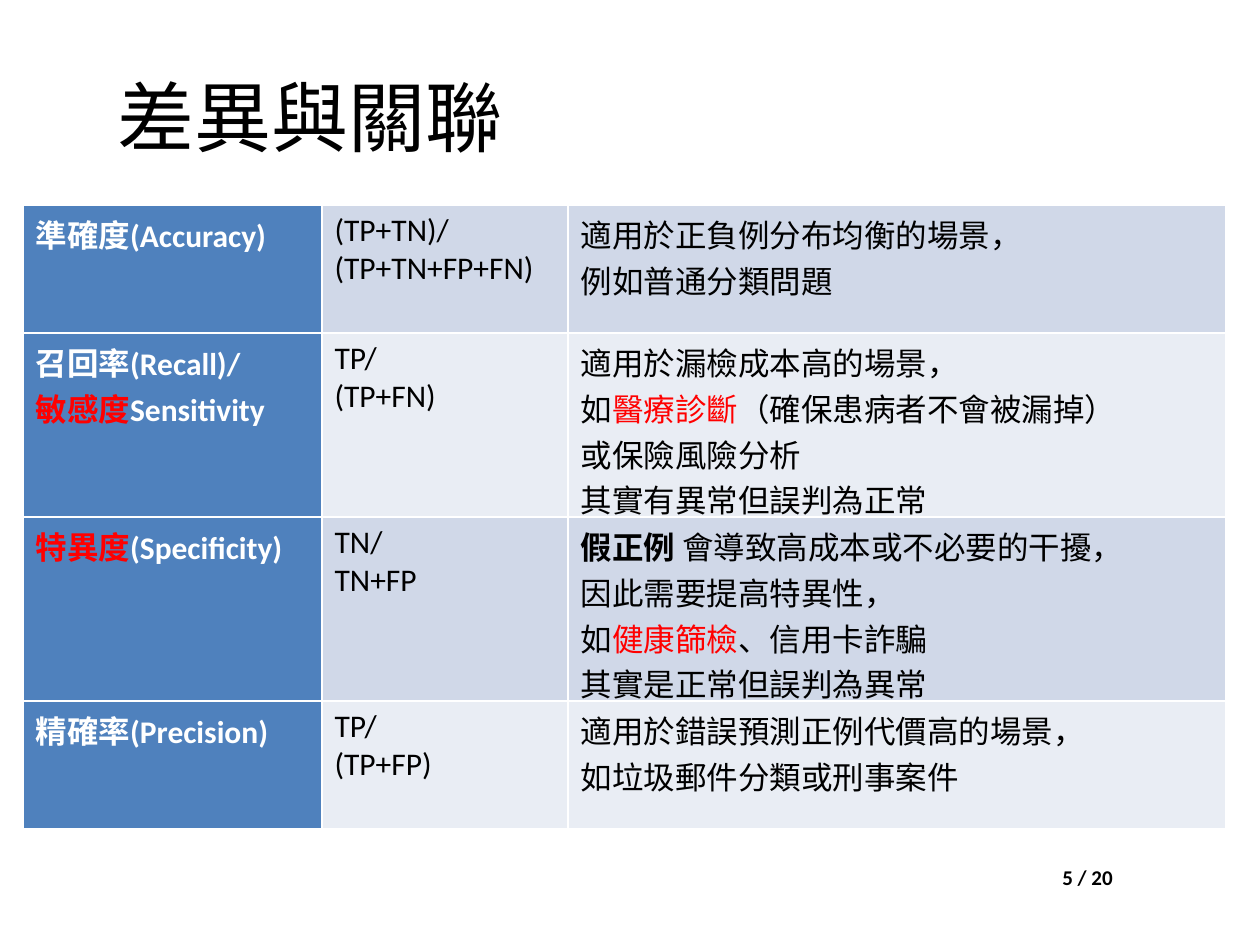
from dataclasses import dataclass

from lxml.etree import SubElement
from pptx import Presentation
from pptx.dml.color import RGBColor as Rgb
from pptx.enum.text import MSO_ANCHOR as Anchor, PP_ALIGN as Align
from pptx.oxml.ns import qn
from pptx.util import Emu, Pt


@dataclass(frozen=True)
class Theme:
    font: str = "Calibri"
    ink: str = "000000"
    light: str = "FFFFFF"
    accent: str = "FF0000"
    metric_fill: str = "4F81BD"
    band_fills: tuple = ("D0D8E8", "E9EDF4")
    title_size: int = 44
    body_size: int = 18
    page_size: int = 12
    border_width: int = 1


THEME = Theme()
EMU_PER_PX = 914400 / 126
COLUMN_WIDTHS = (299, 246, 658)
ROW_HEIGHTS = (128, 184, 184, 128)
RED, BOLD = "red", "bold"

METRICS = [
    (
        ["準確度(Accuracy)"],
        ["(TP+TN)/", "(TP+TN+FP+FN)"],
        ["適用於正負例分布均衡的場景，", "例如普通分類問題"],
    ),
    (
        ["召回率(Recall)/", [("敏感度", RED), "Sensitivity"]],
        ["TP/", "(TP+FN)"],
        [
            "適用於漏檢成本高的場景，",
            ["如", ("醫療診斷", RED), "（確保患病者不會被漏掉）"],
            "或保險風險分析",
            "其實有異常但誤判為正常",
        ],
    ),
    (
        [[("特異度", RED), "(Specificity)"]],
        ["TN/", "TN+FP"],
        [
            [("假正例", BOLD), " 會導致高成本或不必要的干擾，"],
            "因此需要提高特異性，",
            ["如", ("健康篩檢", RED), "、信用卡詐騙"],
            "其實是正常但誤判為異常",
        ],
    ),
    (
        ["精確率(Precision)"],
        ["TP/", "(TP+FP)"],
        ["適用於錯誤預測正例代價高的場景，", "如垃圾郵件分類或刑事案件"],
    ),
]


def px(length):
    return Emu(round(length * EMU_PER_PX))


def style_run(run, size, color, bold=False):
    run.font.name = THEME.font
    run.font.size = Pt(size)
    run.font.bold = bold
    run.font.color.rgb = Rgb.from_string(color)


def place_title(slide, text):
    title = slide.shapes.title
    title.left, title.top, title.width, title.height = map(px, (105, 37, 1113, 157))
    frame = title.text_frame
    frame.text = text
    frame.vertical_anchor = Anchor.MIDDLE
    heading = frame.paragraphs[0]
    heading.alignment = Align.LEFT
    style_run(heading.runs[0], THEME.title_size, THEME.ink)


def add_page_number(slide, text):
    frame = slide.shapes.add_textbox(*map(px, (1050, 858, 175, 38))).text_frame
    frame.word_wrap = True
    frame.text = text
    style_run(frame.paragraphs[0].runs[0], THEME.page_size, THEME.ink, True)


def add_borders(cell):
    properties = cell._tc.get_or_add_tcPr()
    for side in ("a:lnL", "a:lnR", "a:lnT", "a:lnB"):
        line = SubElement(properties, qn(side), w=str(Pt(THEME.border_width)))
        fill = SubElement(line, qn("a:solidFill"))
        SubElement(fill, qn("a:srgbClr"), val=THEME.light)


def write_cell(cell, lines, color, bold):
    frame = cell.text_frame
    for index, line in enumerate(lines):
        paragraph = frame.add_paragraph() if index else frame.paragraphs[0]
        for piece in [line] if isinstance(line, str) else line:
            text, mark = (piece, None) if isinstance(piece, str) else piece
            run = paragraph.add_run()
            run.text = text
            run_color = THEME.accent if mark == RED else color
            style_run(run, THEME.body_size, run_color, bold or mark == BOLD)


def add_metric_table(slide):
    table = slide.shapes.add_table(
        len(METRICS), len(COLUMN_WIDTHS), px(23), px(205),
        px(sum(COLUMN_WIDTHS)), px(sum(ROW_HEIGHTS)),
    ).table
    table.first_row = table.horz_banding = False
    for column, width in zip(table.columns, COLUMN_WIDTHS):
        column.width = px(width)
    for row, height in zip(table.rows, ROW_HEIGHTS):
        row.height = px(height)
    for row_index, metric in enumerate(METRICS):
        band = THEME.band_fills[row_index % 2]
        for column_index, lines in enumerate(metric):
            is_name = column_index == 0
            cell = table.cell(row_index, column_index)
            add_borders(cell)
            cell.fill.solid()
            cell.fill.fore_color.rgb = Rgb.from_string(THEME.metric_fill if is_name else band)
            write_cell(cell, lines, THEME.light if is_name else THEME.ink, is_name)


def main():
    deck = Presentation()
    deck.slide_width, deck.slide_height = px(1260), px(945)
    slide = deck.slides.add_slide(deck.slide_layouts[5])
    place_title(slide, "差異與關聯")
    add_page_number(slide, "5 / 20")
    add_metric_table(slide)
    deck.save("out.pptx")


if __name__ == "__main__":
    main()
